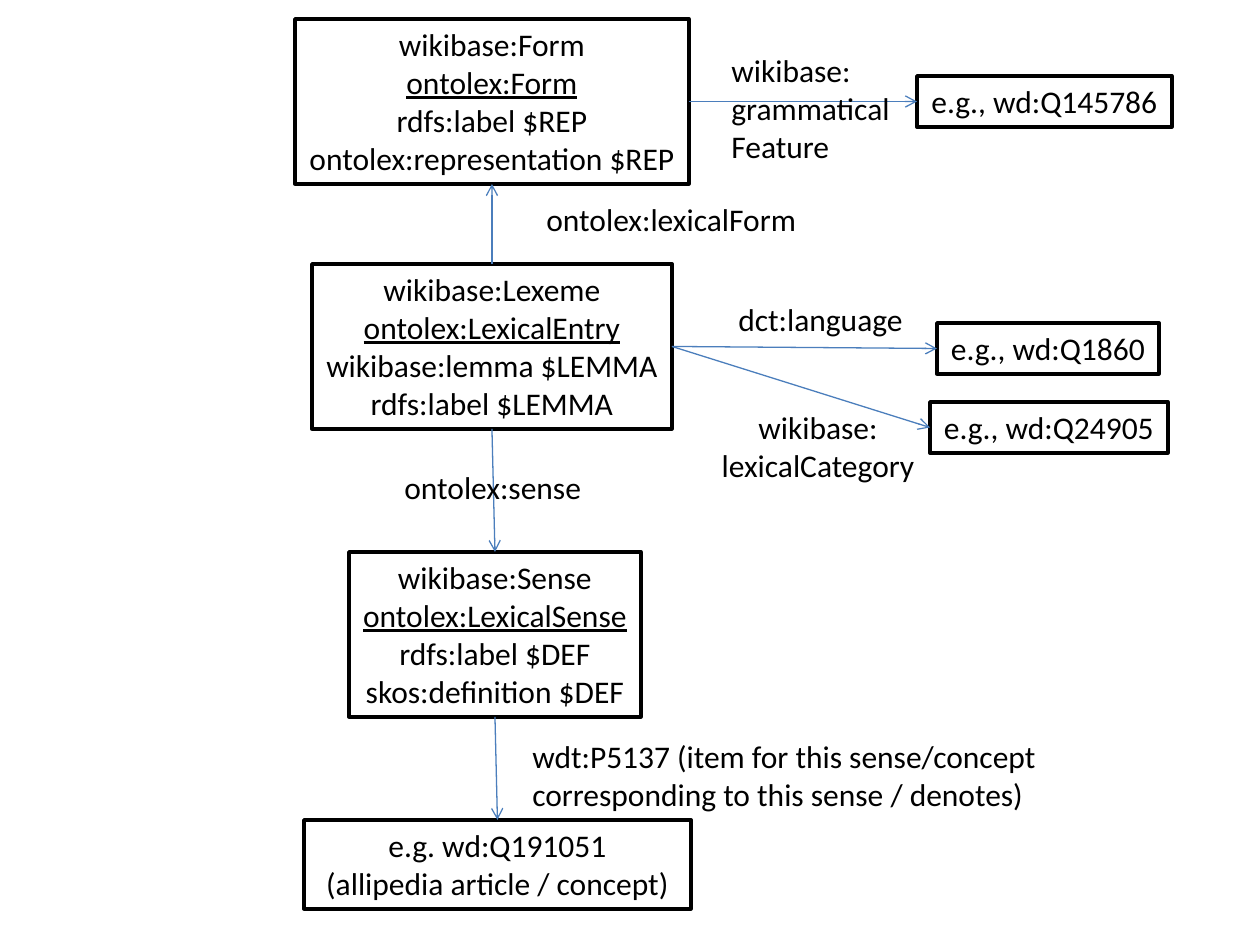
import pptx
import pptx.util
import pptx.dml.color
import pptx.enum.shapes
import pptx.enum.text
import pptx.oxml.ns
import lxml.etree

SCALE = 914400 // 126  # EMU per pixel
ALIGN = pptx.enum.text.PP_ALIGN
TOP, LEFT, BOTTOM, RIGHT = range(4)  # connection sites of a rectangle

# name: left, top, width, lines (a leading underscore marks an underlined line)
BOXES = {
    "lexeme": (312, 264, 360, ["wikibase:Lexeme", "_ontolex:LexicalEntry",
                               "wikibase:lemma $LEMMA", "rdfs:label $LEMMA"]),
    "form": (295, 19, 394, ["wikibase:Form", "_ontolex:Form", "rdfs:label $REP",
                            "ontolex:representation $REP"]),
    "sense": (349, 552, 292, ["wikibase:Sense", "_ontolex:LexicalSense",
                              "rdfs:label $DEF", "skos:definition $DEF"]),
    "concept": (304, 820, 387, ["e.g. wd:Q191051", "(allipedia article / concept)"]),
    "language": (937, 323, 222, ["e.g., wd:Q1860"]),
    "category": (930, 402, 238, ["e.g., wd:Q24905"]),
    "feature": (917, 76, 255, ["e.g., wd:Q145786"]),
}

# from box, site, to box, site
LINKS = [
    ("lexeme", RIGHT, "language", LEFT),
    ("lexeme", RIGHT, "category", LEFT),
    ("lexeme", TOP, "form", BOTTOM),
    ("lexeme", BOTTOM, "sense", TOP),
    ("form", RIGHT, "feature", LEFT),
    ("sense", BOTTOM, "concept", TOP),
]

# left, top, width, lines, alignment
LABELS = [
    (726, 294, 192, ["dct:language"], ALIGN.LEFT),
    (708, 402, 220, ["wikibase:", "lexicalCategory"], ALIGN.CENTER),
    (534, 194, 277, ["ontolex:lexicalForm"], ALIGN.LEFT),
    (392, 462, 204, ["ontolex:sense"], ALIGN.LEFT),
    (719, 45, 185, ["wikibase:", "grammatical", "Feature"], ALIGN.LEFT),
    (520, 731, 542, ["wdt:P5137 (item for this sense/concept",
                     "corresponding to this sense / denotes)"], ALIGN.LEFT),
]


def px(num):
    return pptx.util.Emu(num * SCALE)


def color(text):
    return pptx.dml.color.RGBColor.from_string(text)


def style(item, **values):
    for name, value in values.items():
        setattr(item, name, value)


def area(left, top, width, lines):
    """Height follows from the number of text lines."""
    return [px(n) for n in (left, top, width, 13 + 38 * len(lines))]


def write(shape, lines, align):
    frame = shape.text_frame
    style(frame, word_wrap=False,
          auto_size=pptx.enum.text.MSO_AUTO_SIZE.SHAPE_TO_FIT_TEXT,
          vertical_anchor=pptx.enum.text.MSO_ANCHOR.TOP)
    for pos, line in enumerate(lines):
        para = frame.add_paragraph() if pos else frame.paragraphs[0]
        para.alignment = align
        run = para.add_run()
        run.text = line.lstrip("_")
        style(run.font, name="Calibri", size=pptx.util.Pt(18))
        run.font.color.rgb = color("000000")
        if line.startswith("_"):
            run.font.underline = True


def box(slide, left, top, width, lines):
    shape = slide.shapes.add_shape(pptx.enum.shapes.MSO_SHAPE.RECTANGLE,
                                   *area(left, top, width, lines))
    shape.shadow.inherit = False
    shape.fill.solid()
    shape.fill.fore_color.rgb = color("FFFFFF")
    shape.line.color.rgb = color("000000")
    shape.line.width = pptx.util.Pt(2)
    write(shape, lines, ALIGN.CENTER)
    return shape


def label(slide, left, top, width, lines, align):
    write(slide.shapes.add_textbox(*area(left, top, width, lines)), lines, align)


def arrow(slide, start, out, end, into):
    line = slide.shapes.add_connector(
        pptx.enum.shapes.MSO_CONNECTOR.STRAIGHT, 0, 0, 0, 0)
    line.begin_connect(start, out)
    line.end_connect(end, into)
    line.line.color.rgb = color("4B7EBC")
    line.line.width = pptx.util.Pt(0.75)
    # Open arrowhead, no shadow
    qn = pptx.oxml.ns.qn
    lxml.etree.SubElement(line.get_or_add_ln(), qn("a:tailEnd"), type="arrow")
    lxml.etree.SubElement(line.element.spPr, qn("a:effectLst"))


def main():
    deck = pptx.Presentation()
    style(deck, slide_width=pptx.util.Inches(10), slide_height=pptx.util.Inches(7.5))
    slide = deck.slides.add_slide(deck.slide_layouts[6])

    # Boxes first, then the arrows that join them, then the labels
    nodes = {name: box(slide, *data) for name, data in BOXES.items()}
    for start, out, end, into in LINKS:
        arrow(slide, nodes[start], out, nodes[end], into)
    for data in LABELS:
        label(slide, *data)

    deck.save("out.pptx")


main()
